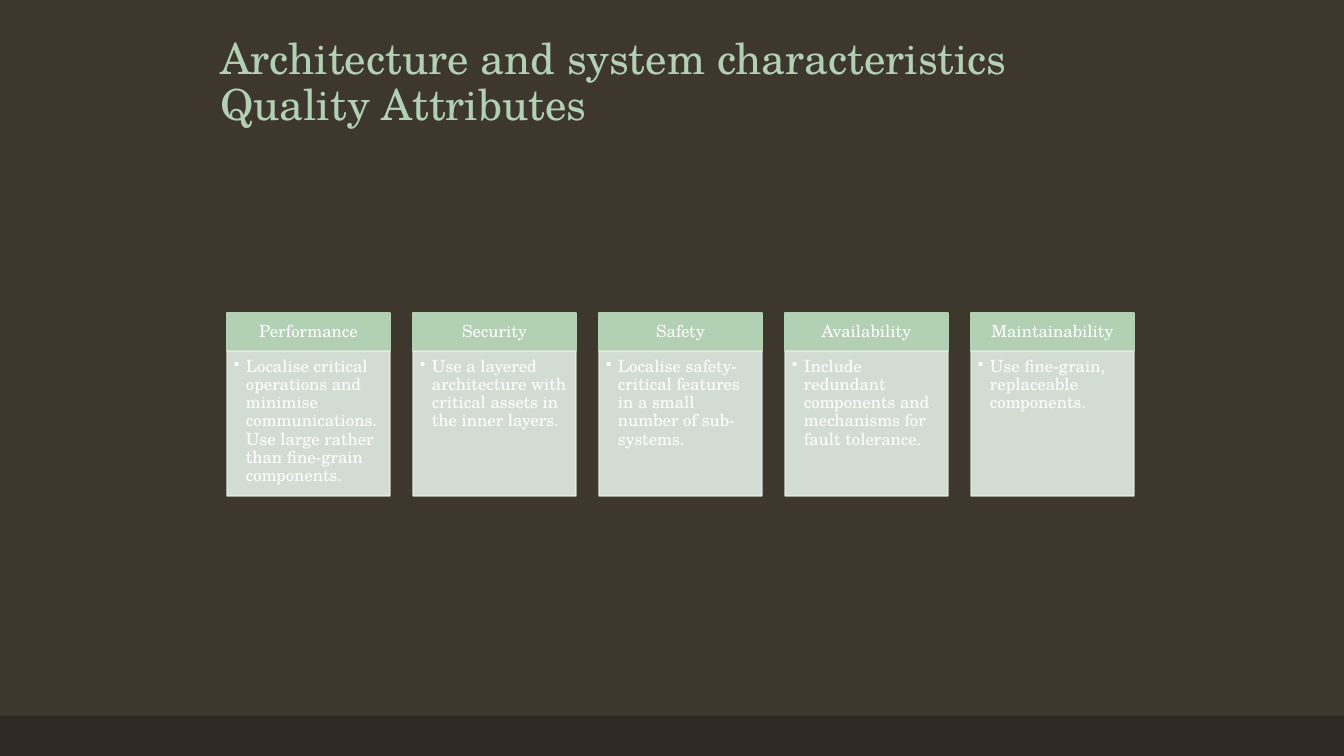
from lxml.etree import SubElement
from pptx import Presentation
from pptx.dml.color import RGBColor
from pptx.enum.shapes import MSO_SHAPE
from pptx.enum.text import MSO_ANCHOR, PP_ALIGN
from pptx.oxml.ns import qn
from pptx.util import Emu, Pt

FONT = "TeX Gyre Schola"
COLORS = {"bg": "3D372E", "footer": "2E2923", "accent": "B2D0B4",
          "body": "E4EEE5", "text": "FFFFFF"}
ATTRIBUTES = [
    ("Performance", "Localise critical operations and minimise communications. "
                    "Use large rather than fine-grain components."),
    ("Security", "Use a layered architecture with critical assets in the inner layers."),
    ("Safety", "Localise safety-critical features in a small number of sub-systems."),
    ("Availability", "Include redundant components and mechanisms for fault tolerance."),
    ("Maintainability", "Use fine-grain, replaceable components."),
]


def px(n):
    """Turn slide pixels into EMU."""
    return Emu(round(n * 914400 / 100.8))


def color(name):
    """Look up a named colour."""
    return RGBColor.from_string(COLORS[name])


def paint(fill, name, alpha=None):
    """Fill with a named colour at an optional opacity in percent."""
    fill.solid()
    fill.fore_color.rgb = color(name)
    if alpha:
        for clr in fill._xPr.iter(qn("a:srgbClr")):
            SubElement(clr, qn("a:alpha"), val=str(alpha * 1000))


def add_rect(slide, box, fill, alpha=None, outlined=True):
    """Add a flat rectangle, outlined in its own colour if asked."""
    sp = slide.shapes.add_shape(MSO_SHAPE.RECTANGLE, *map(px, box))
    sp.shadow.inherit = False
    paint(sp.fill, fill, alpha)
    if outlined:
        sp.line.width = Pt(1)
        paint(sp.line.fill, fill, alpha)
    else:
        sp.line.fill.background()
    return sp


def write(sp, text, size, name, anchor, margins, align=PP_ALIGN.LEFT, indent=0):
    """Write one paragraph, bulleted when an indent is given."""
    tf = sp.text_frame
    sides = ("margin_left", "margin_top", "margin_right", "margin_bottom")
    frame = {"word_wrap": True, "vertical_anchor": anchor, **dict(zip(sides, map(px, margins)))}
    for key, value in frame.items():
        setattr(tf, key, value)
    p = tf.paragraphs[0]
    p.text = text
    p.alignment, p.line_spacing = align, 0.9
    if indent:
        pPr = p._p.get_or_add_pPr()
        pPr.set("marL", str(px(indent)))
        pPr.set("indent", str(-px(indent)))
        SubElement(pPr, qn("a:buChar"), char="•")
    for r in p.runs:
        for key, value in {"name": FONT, "size": Pt(size)}.items():
            setattr(r.font, key, value)
        r.font.color.rgb = color(name)


def add_title(slide, box):
    """Place the two-line title at the bottom of its box."""
    sp = slide.shapes.add_textbox(*map(px, box))
    write(sp, "Architecture and system characteristics\vQuality Attributes",
          30.6, "accent", MSO_ANCHOR.BOTTOM, (10, 5, 10, 5))


def add_card(slide, box, heading, advice):
    """Place a heading bar above its advice panel."""
    x, y, w, h = box
    bar = 38
    sp = add_rect(slide, (x, y, w, bar), "accent")
    write(sp, heading, 12, "text", MSO_ANCHOR.MIDDLE, (9, 5, 9, 5), PP_ALIGN.CENTER)
    sp = add_rect(slide, (x, y + bar, w, h - bar), "body", alpha=90)
    write(sp, advice, 12, "text", MSO_ANCHOR.TOP, (7, 7, 9, 10), indent=12)


def add_cards(slide, box):
    """Spread the attribute cards evenly across the box."""
    x, y, w, h = box
    gap = 23
    card = (w + gap) // len(ATTRIBUTES) - gap
    for i, (heading, advice) in enumerate(ATTRIBUTES):
        add_card(slide, (x + i * (card + gap), y, card, h), heading, advice)


def main():
    """Build and save the slide."""
    prs = Presentation()
    prs.slide_width, prs.slide_height = px(1344), px(756)
    s = prs.slides.add_slide(prs.slide_layouts[6])
    paint(s.background.fill, "bg")
    add_rect(s, (0, 716, 1344, 40), "footer", outlined=False)
    add_title(s, (210, 34, 915, 101))
    add_cards(s, (227, 313, 907, 183))
    prs.save("out.pptx")


if __name__ == "__main__":
    main()
